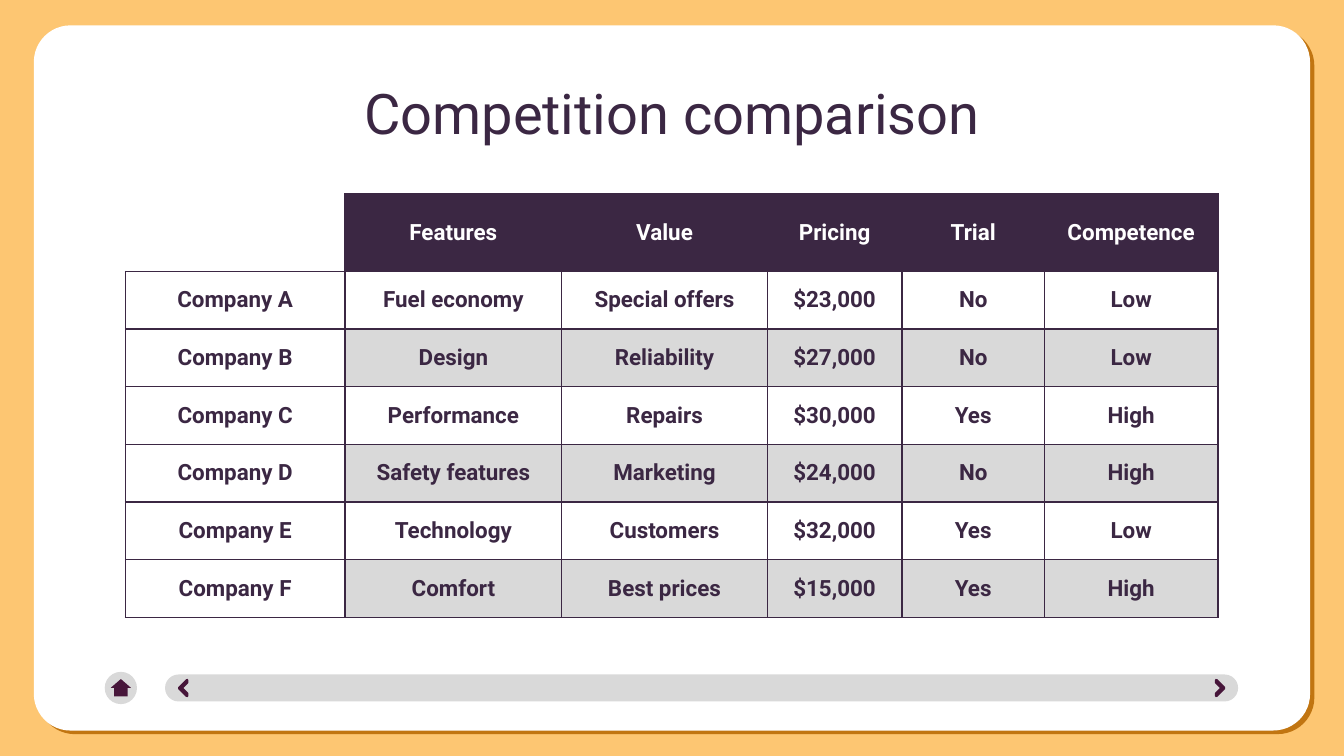
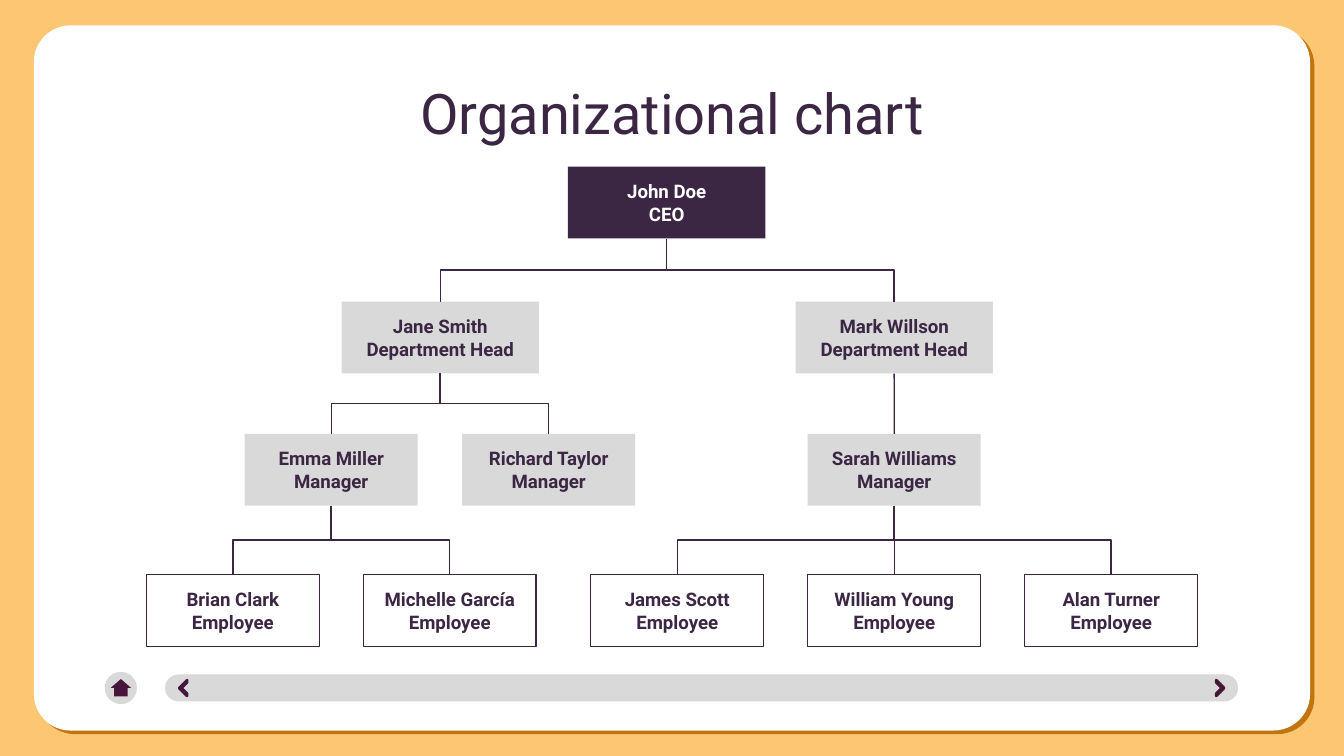
import pptx
import pptx.dml.color
import pptx.enum.shapes
import pptx.enum.text
import pptx.oxml
import pptx.oxml.ns
import pptx.util
from pptx.util import Cm

PLUM = pptx.dml.color.RGBColor(0x3B, 0x27, 0x43)
WINE = pptx.dml.color.RGBColor(0x47, 0x16, 0x3A)
GRAY = pptx.dml.color.RGBColor(0xD9, 0xD9, 0xD9)
WHITE = pptx.dml.color.RGBColor(0xFF, 0xFF, 0xFF)
APRICOT = pptx.dml.color.RGBColor(0xFD, 0xC6, 0x72)
SHADOW = pptx.dml.color.RGBColor(0xC1, 0x75, 0x11)
FONT = "Roboto"
THIN = pptx.util.Pt(0.75)

SHAPES = pptx.enum.shapes.MSO_SHAPE
CONNECTORS = pptx.enum.shapes.MSO_CONNECTOR
ANCHORS = pptx.enum.text.MSO_ANCHOR
NAMESPACE = pptx.oxml.ns.nsdecls("a")


def write_text(text_frame, text, size=10, color=PLUM, bold=True):
    """Fill a text frame with centred lines, one paragraph per line."""
    text_frame.word_wrap = True
    for index, line in enumerate(text.split("\n")):
        paragraph = text_frame.paragraphs[0] if index == 0 else text_frame.add_paragraph()
        paragraph.alignment = pptx.enum.text.PP_ALIGN.CENTER
        run = paragraph.add_run()
        run.text = line
        run.font.name = FONT
        run.font.size = pptx.util.Pt(size)
        run.font.bold = bold
        run.font.color.rgb = color


def add_block(slide, kind, left, top, width, height, fill, line=None,
              line_width=THIN, rotation=0, adjustments=()):
    """Add a flat preset shape, measured in centimetres."""
    shape = slide.shapes.add_shape(kind, Cm(left), Cm(top), Cm(width), Cm(height))
    shape.shadow.inherit = False
    shape.fill.solid()
    shape.fill.fore_color.rgb = fill
    if line is None:
        shape.line.fill.background()
    else:
        shape.line.color.rgb = line
        shape.line.width = line_width
    shape.rotation = rotation
    for index, value in enumerate(adjustments):
        shape.adjustments[index] = value
    return shape


presentation = pptx.Presentation()
presentation.slide_width = Cm(25.4)
presentation.slide_height = Cm(14.29)

# Shared frame: background, card, navigation bar and title
slides = []
for title in ("Competition comparison", "Organizational chart"):
    slide = presentation.slides.add_slide(presentation.slide_layouts[6])
    slides.append(slide)
    slide.background.fill.solid()
    slide.background.fill.fore_color.rgb = APRICOT

    card = add_block(slide, SHAPES.ROUNDED_RECTANGLE, 0.64, 0.48, 24.12, 13.33,
                     WHITE, adjustments=[0.052])
    effects = card._element.spPr.find(pptx.oxml.ns.qn("a:effectLst"))
    effects.append(pptx.oxml.parse_xml(
        f'<a:outerShdw {NAMESPACE} blurRad="0" dist="38100" dir="2400000" algn="bl" '
        f'rotWithShape="0"><a:srgbClr val="{SHADOW}"/></a:outerShdw>'))

    add_block(slide, SHAPES.ROUNDED_RECTANGLE, 3.12, 12.75, 20.28, 0.51,
              GRAY, adjustments=[0.5])
    for left, rotation in ((3.43, 315), (22.88, 135)):
        add_block(slide, SHAPES.HALF_FRAME, left, 12.9, 0.21, 0.21, WINE, line=WINE,
                  line_width=pptx.util.Pt(1.5), rotation=rotation,
                  adjustments=[0.15, 0.15])
    add_block(slide, SHAPES.OVAL, 1.98, 12.7, 0.61, 0.61, GRAY)
    add_block(slide, SHAPES.RIGHT_ARROW, 2.12, 12.81, 0.33, 0.38, WINE,
              rotation=270, adjustments=[0.67, 0.5])

    title_box = slide.shapes.add_textbox(Cm(2), Cm(1.24), Cm(21.41), Cm(1.6))
    title_box.text_frame.margin_top = title_box.text_frame.margin_bottom = Cm(0.25)
    write_text(title_box.text_frame, title, size=30, bold=False)

table_slide, chart_slide = slides

# Comparison table
rows = [
    ("", "Features", "Value", "Pricing", "Trial", "Competence"),
    ("Company A", "Fuel economy", "Special offers", "$23,000", "No", "Low"),
    ("Company B", "Design", "Reliability", "$27,000", "No", "Low"),
    ("Company C", "Performance", "Repairs", "$30,000", "Yes", "High"),
    ("Company D", "Safety features", "Marketing", "$24,000", "No", "High"),
    ("Company E", "Technology", "Customers", "$32,000", "Yes", "Low"),
    ("Company F", "Comfort", "Best prices", "$15,000", "Yes", "High"),
]
column_widths = (4.15, 4.1, 3.88, 2.55, 2.69, 3.28)
row_heights = [1.47] + [1.09] * 6
table = table_slide.shapes.add_table(
    len(rows), len(column_widths), Cm(2.37), Cm(3.66),
    Cm(sum(column_widths)), Cm(sum(row_heights))).table
table.first_row = table.horz_banding = False
for column, width in zip(table.columns, column_widths):
    column.width = Cm(width)
for row, height in zip(table.rows, row_heights):
    row.height = Cm(height)

for row_index, row in enumerate(rows):
    for column_index, text in enumerate(row):
        cell = table.cell(row_index, column_index)
        is_corner = row_index == 0 and column_index == 0
        for side in "LRTB":
            hidden = is_corner and side in "LT"
            paint = ("<a:noFill/>" if hidden else
                     f'<a:solidFill><a:srgbClr val="{PLUM}"/></a:solidFill>')
            cell._tc.get_or_add_tcPr().append(pptx.oxml.parse_xml(
                f'<a:ln{side} {NAMESPACE} w="{THIN}">{paint}</a:ln{side}>'))
        if is_corner:
            cell.fill.background()
            continue
        is_header = row_index == 0
        is_banded = row_index % 2 == 0 and column_index > 0
        cell.fill.solid()
        cell.fill.fore_color.rgb = PLUM if is_header else GRAY if is_banded else WHITE
        cell.vertical_anchor = ANCHORS.MIDDLE
        cell.margin_left = cell.margin_right = Cm(0.13)
        cell.margin_top = cell.margin_bottom = Cm(0.13)
        write_text(cell.text_frame, text, size=12, color=WHITE if is_header else PLUM)

# Organizational chart: top, box width, fill, outline, text colour, role
levels = [
    (3.15, 3.73, PLUM, None, WHITE, "CEO"),
    (5.7, 3.73, GRAY, None, PLUM, "Department Head"),
    (8.2, 3.27, GRAY, None, PLUM, "Manager"),
    (10.86, 3.27, WHITE, PLUM, PLUM, "Employee"),
]
# Name, level, horizontal centre, manager
people = [
    ("John Doe", 0, 12.6, None),
    ("Jane Smith", 1, 8.32, "John Doe"),
    ("Mark Willson", 1, 16.9, "John Doe"),
    ("Emma Miller", 2, 6.26, "Jane Smith"),
    ("Richard Taylor", 2, 10.37, "Jane Smith"),
    ("Sarah Williams", 2, 16.9, "Mark Willson"),
    ("Brian Clark", 3, 4.4, "Emma Miller"),
    ("Michelle García", 3, 8.5, "Emma Miller"),
    ("James Scott", 3, 12.8, "Sarah Williams"),
    ("William Young", 3, 16.9, "Sarah Williams"),
    ("Alan Turner", 3, 21, "Sarah Williams"),
]
boxes = {}
for name, level, center, manager in people:
    top, width, fill, line, color, role = levels[level]
    box = add_block(chart_slide, SHAPES.RECTANGLE, center - width / 2, top,
                    width, 1.36, fill, line=line)
    box.text_frame.vertical_anchor = ANCHORS.MIDDLE
    write_text(box.text_frame, f"{name}\n{role}", color=color)
    boxes[name] = box

# Connectors from each manager's bottom to each report's top
centers = {name: Cm(center) for name, _, center, _ in people}
for name, _, _, manager in people[1:]:
    offset = centers[name] - centers[manager]
    connector = chart_slide.shapes.add_connector(
        CONNECTORS.ELBOW if offset else CONNECTORS.STRAIGHT, 0, 0, 0, 0)
    connector.begin_connect(boxes[manager], 2)
    connector.end_connect(boxes[name], 0)
    connector.line.color.rgb = PLUM
    connector.line.width = THIN
    properties = connector._element.spPr
    properties.append(pptx.oxml.parse_xml(f"<a:effectLst {NAMESPACE}/>"))
    if offset:
        # An elbow that leaves downwards is a rotated box around the same middle
        middle_x = (centers[manager] + centers[name]) // 2
        start = boxes[manager].top + boxes[manager].height
        drop = boxes[name].top - start
        connector.left = middle_x - drop // 2
        connector.top = start + drop // 2 - abs(offset) // 2
        connector.width, connector.height = drop, abs(offset)
        frame = properties.find(pptx.oxml.ns.qn("a:xfrm"))
        frame.set("rot", "16200000" if offset > 0 else "5400000")
        frame.set("flipH", "1" if offset > 0 else "0")

presentation.save("out.pptx")
